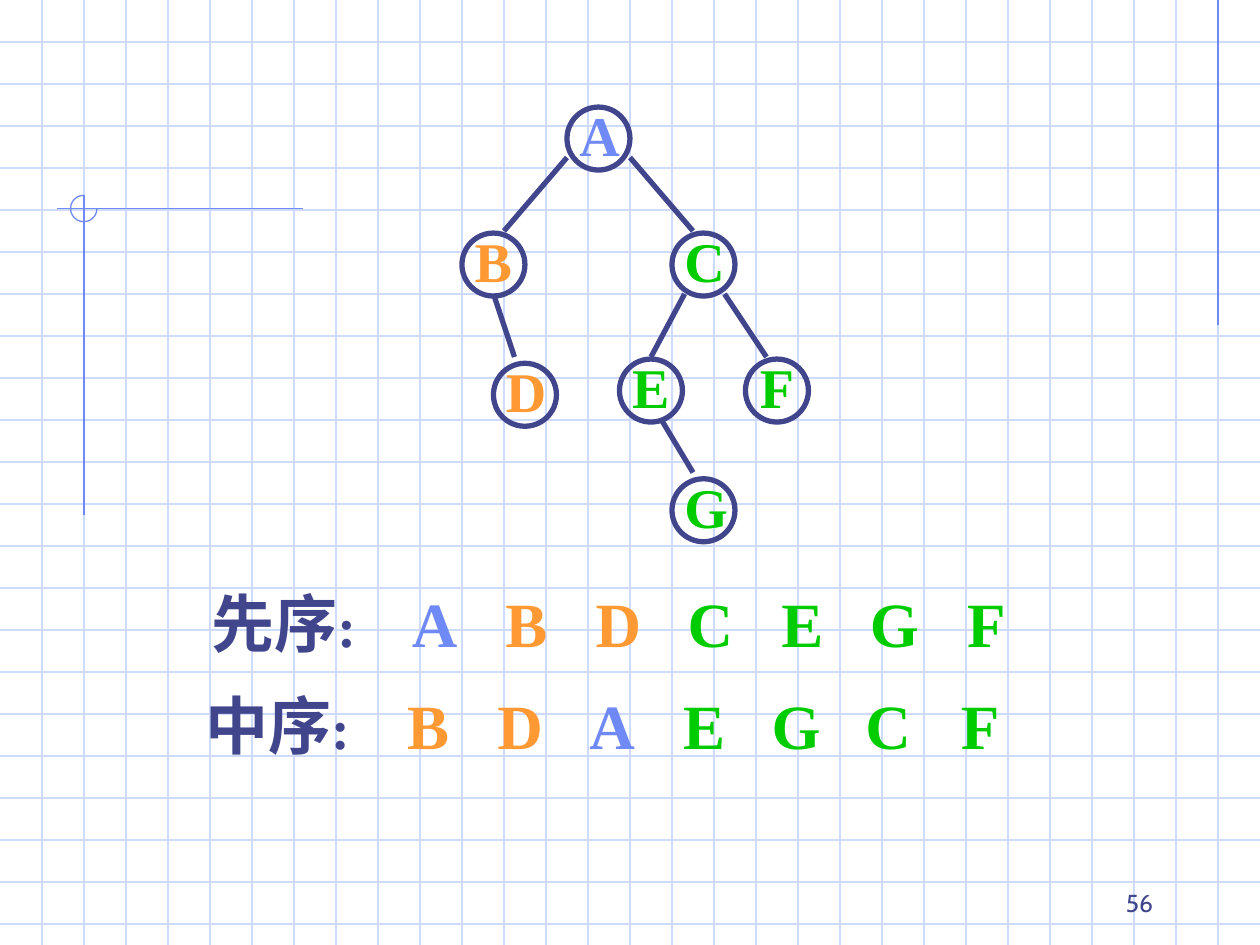
import lxml.etree
import pptx
import pptx.dml.color
import pptx.enum.shapes
import pptx.enum.text
import pptx.oxml.ns
import pptx.util

RGBColor = pptx.dml.color.RGBColor
NAVY = RGBColor(0x40, 0x45, 0x8C)
BLUE = RGBColor(0x6F, 0x89, 0xF7)
ORANGE = RGBColor(0xFF, 0x99, 0x33)
GREEN = RGBColor(0x00, 0xCC, 0x00)
PALE = RGBColor(0xCF, 0xDB, 0xFD)

Inches = pptx.util.Inches
Pt = pptx.util.Pt
Shapes = pptx.enum.shapes.MSO_SHAPE
Align = pptx.enum.text.PP_ALIGN
Anchor = pptx.enum.text.MSO_ANCHOR

WIDTH, HEIGHT = 10, 7.5
CELL = WIDTH / 30
NODE = 0.5
SERIF = "Times New Roman"

LETTER_COLORS = {"A": BLUE, "B": ORANGE, "D": ORANGE,
                 "C": GREEN, "E": GREEN, "F": GREEN, "G": GREEN}
NODE_CENTRES = {
    "A": (14.25, 3.3),
    "B": (11.75, 6.3), "C": (16.75, 6.3),
    "D": (12.5, 9.4), "E": (15.5, 9.3), "F": (18.5, 9.3),
    "G": (16.75, 12.15),
}
EDGES = [
    ((13.5, 3.75), (12, 5.5)),
    ((15, 3.75), (16.5, 5.5)),
    ((11.75, 7), (12.25, 8.5)),
    ((16.3, 7), (15.5, 8.5)),
    ((17.25, 7), (18.25, 8.5)),
    ((15.75, 10), (16.5, 11.25)),
]
ORNAMENT_LINES = [
    ((29, 0), (29, 7.75)),
    ((7.21, 4.97), (1.35, 4.97)),
    ((2, 4.65), (2, 12.27)),
]
TRAVERSALS = [
    ("先序", "ABDCEGF", (1.58, 4.75, 6.75, 0.52)),
    ("中序", "BDAEGCF", (1.53, 5.56, 6.75, 0.52)),
]
FIRST_LETTER, LETTER_STEP = 1.77, 0.73


def add_line(page, start, end, color, weight):
    points = [Inches(value * CELL) for value in (*start, *end)]
    line = page.shapes.add_connector(
        pptx.enum.shapes.MSO_CONNECTOR.STRAIGHT, *points)
    line.line.color.rgb = color
    line.line.width = Pt(weight)
    lxml.etree.SubElement(line._element.spPr, pptx.oxml.ns.qn("a:effectLst"))


def add_outline(page, kind, place, color, weight):
    shape = page.shapes.add_shape(kind, *map(Inches, place))
    shape.shadow.inherit = False
    shape.fill.background()
    shape.line.color.rgb = color
    shape.line.width = Pt(weight)
    return shape


def add_box(page, place, anchor):
    box = page.shapes.add_textbox(*map(Inches, place))
    box.text_frame.word_wrap = True
    box.text_frame.vertical_anchor = anchor
    return box.text_frame.paragraphs[0]


def set_font(font, name, size, color, bold):
    font.name = name
    font.size = Pt(size)
    font.color.rgb = color
    font.bold = bold


def add_span(para, text, size, color):
    span = para.add_run()
    span.text = text
    set_font(span.font, SERIF, size, color, True)


def add_label(page, text, place, anchor, align, name, size, color, bold):
    para = add_box(page, place, anchor)
    para.text = text
    para.alignment = align
    set_font(para.font, name, size, color, bold)


def add_background(page):
    columns, rows = round(WIDTH / CELL), HEIGHT / CELL
    for row in range(1, int(rows) + 1):
        add_line(page, (0, row), (columns, row), PALE, 0.75)
    for column in range(1, columns):
        add_line(page, (column, 0), (column, rows), PALE, 0.75)
    for start, end in ORNAMENT_LINES:
        add_line(page, start, end, BLUE, 0.75)
    arc = add_outline(page, Shapes.ARC, (0.56, 1.55, 0.21, 0.21), BLUE, 0.75)
    arc.adjustments[0] = 0
    arc.adjustments[1] = 162


def add_tree(page):
    for letter, (column, row) in NODE_CENTRES.items():
        left, top = column * CELL - NODE / 2, row * CELL - NODE / 2
        add_label(page, letter, (left, top - 0.11, NODE, 0.64), Anchor.BOTTOM,
                  Align.CENTER, SERIF, 32, LETTER_COLORS[letter], True)
        add_outline(page, Shapes.OVAL, (left, top, NODE, NODE), NAVY, 3)
    for start, end in EDGES:
        add_line(page, start, end, NAVY, 3)


def add_traversal(page, name, letters, place):
    para = add_box(page, place, Anchor.TOP)
    para.line_spacing = 0.7
    tabs = lxml.etree.SubElement(
        para._p.get_or_add_pPr(), pptx.oxml.ns.qn("a:tabLst"))
    add_span(para, name, 36, NAVY)
    add_span(para, ":", 32, NAVY)
    for index, letter in enumerate(letters):
        position = Inches(FIRST_LETTER + index * LETTER_STEP)
        lxml.etree.SubElement(tabs, pptx.oxml.ns.qn("a:tab"),
                              pos=str(position), algn="ctr")
        add_span(para, "\t" + letter, 36, LETTER_COLORS[letter])


def main():
    deck = pptx.Presentation()
    deck.slide_width, deck.slide_height = Inches(WIDTH), Inches(HEIGHT)
    page = deck.slides.add_slide(deck.slide_layouts[6])
    add_background(page)
    add_tree(page)
    for name, letters, place in TRAVERSALS:
        add_traversal(page, name, letters, place)
    add_label(page, "56", (7.17, 6.83, 2.08, 0.5), Anchor.BOTTOM,
              Align.RIGHT, "Cabin", 14, NAVY, False)
    deck.save("out.pptx")


if __name__ == "__main__":
    main()
